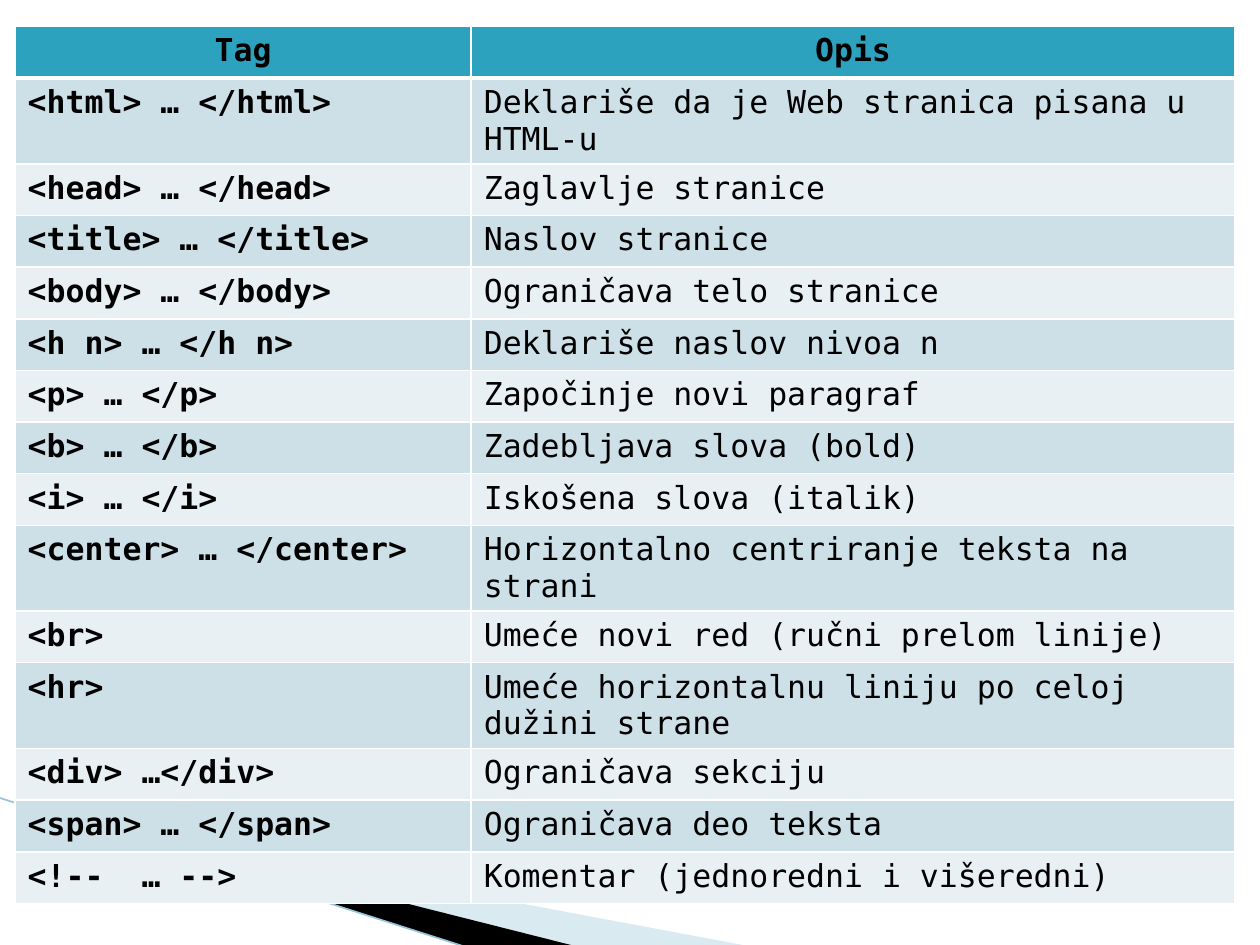
from lxml import etree
from pptx import Presentation
from pptx.dml.color import RGBColor
from pptx.enum.shapes import MSO_CONNECTOR
from pptx.enum.text import PP_ALIGN
from pptx.oxml.ns import qn
from pptx.util import Inches, Pt

STRAIGHT = MSO_CONNECTOR.STRAIGHT
CENTER, LEFT = PP_ALIGN.CENTER, PP_ALIGN.LEFT

BLACK = RGBColor(0x00, 0x00, 0x00)
WHITE = RGBColor(0xFF, 0xFF, 0xFF)
HEADER_TEAL = RGBColor(0x2D, 0xA2, 0xBF)
BAND_DARK = RGBColor(0xCD, 0xE0, 0xE8)
BAND_LIGHT = RGBColor(0xE8, 0xF0, 0xF4)
WEDGE_BLUE = RGBColor(0xA0, 0xCB, 0xDC)
EDGE_BLUE = RGBColor(0x97, 0xC5, 0xD8)

FONT = "DejaVu Sans Mono"
TABLE_LEFT, TABLE_TOP = 0.12, 0.21
COLUMN_WIDTHS = (3.62, 6.06)
ROW_HEIGHT = 0.41

TAGS = [
    ("Tag", "Opis"),
    ("<html> … </html>", "Deklariše da je Web stranica pisana u HTML-u"),
    ("<head> … </head>", "Zaglavlje stranice"),
    ("<title> … </title>", "Naslov stranice"),
    ("<body> … </body>", "Ograničava telo stranice"),
    ("<h n> … </h n>", "Deklariše naslov nivoa n"),
    ("<p> … </p>", "Započinje novi paragraf"),
    ("<b> … </b>", "Zadebljava slova (bold)"),
    ("<i> … </i>", "Iskošena slova (italik)"),
    ("<center> … </center>", "Horizontalno centriranje teksta na strani"),
    ("<br>", "Umeće novi red (ručni prelom linije)"),
    ("<hr>", "Umeće horizontalnu liniju po celoj dužini strane"),
    ("<div> …</div>", "Ograničava sekciju"),
    ("<span> … </span>", "Ograničava deo teksta"),
    ("<!--  … -->", "Komentar (jednoredni i višeredni)"),
]


def add_wedge(slide, points, color, opacity=None):
    """Filled polygon through points in inches; opacity in percent."""
    start, *rest = [(Inches(x), Inches(y)) for x, y in points]
    builder = slide.shapes.build_freeform(*start)
    builder.add_line_segments(rest, close=True)
    wedge = builder.convert_to_shape()
    wedge.shadow.inherit = False
    wedge.fill.solid()
    wedge.fill.fore_color.rgb = color
    wedge.line.fill.background()
    if opacity is not None:
        fill_color = wedge.fill._xPr.find(".//" + qn("a:srgbClr"))
        etree.SubElement(fill_color, qn("a:alpha"), val=str(opacity * 1000))


def add_edge(slide, start, end):
    edge = slide.shapes.add_connector(
        STRAIGHT, *(Inches(length) for length in (*start, *end)))
    edge.line.color.rgb = EDGE_BLUE
    edge.line.width = Pt(0.95)
    etree.SubElement(edge._element.spPr, qn("a:effectLst"))


def set_borders(cell, bottom_width):
    properties = cell._tc.get_or_add_tcPr()
    for side, width in (("L", 1), ("R", 1), ("T", 1), ("B", bottom_width)):
        border = etree.SubElement(properties, qn(f"a:ln{side}"), w=str(Pt(width)))
        fill = etree.SubElement(border, qn("a:solidFill"))
        etree.SubElement(fill, qn("a:srgbClr"), val=str(WHITE))


def fill_cell(cell, text, color, bold, is_header):
    set_borders(cell, 3 if is_header else 1)
    cell.fill.solid()
    cell.fill.fore_color.rgb = color
    cell.text = text
    paragraph = cell.text_frame.paragraphs[0]
    paragraph.alignment = CENTER if is_header else LEFT
    paragraph.font.name = FONT
    paragraph.font.size = Pt(18)
    paragraph.font.bold = bold
    paragraph.font.color.rgb = BLACK


def add_tag_table(slide):
    table = slide.shapes.add_table(
        len(TAGS), len(COLUMN_WIDTHS), Inches(TABLE_LEFT), Inches(TABLE_TOP),
        Inches(sum(COLUMN_WIDTHS)), Inches(ROW_HEIGHT * len(TAGS))).table
    for column, width in zip(table.columns, COLUMN_WIDTHS):
        column.width = Inches(width)
    for r, texts in enumerate(TAGS):
        table.rows[r].height = Inches(ROW_HEIGHT)
        is_header = r == 0
        band = BAND_DARK if r % 2 else BAND_LIGHT
        color = HEADER_TEAL if is_header else band
        for c, text in enumerate(texts):
            fill_cell(table.cell(r, c), text, color, is_header or c == 0, is_header)


def main():
    deck = Presentation()
    deck.slide_width, deck.slide_height = Inches(10), Inches(7.5)
    slide = deck.slides.add_slide(deck.slide_layouts[6])
    add_wedge(slide, [(0.55, 6.5), (5.95, 7.51), (4.56, 7.51)], WEDGE_BLUE, 40)
    add_wedge(slide, [(0.53, 6.49), (4.57, 7.51), (3.72, 7.52), (0.54, 6.5)], BLACK)
    add_edge(slide, (-0.01, 6.33), (3.71, 7.52))
    add_tag_table(slide)
    deck.save("out.pptx")


if __name__ == "__main__":
    main()
